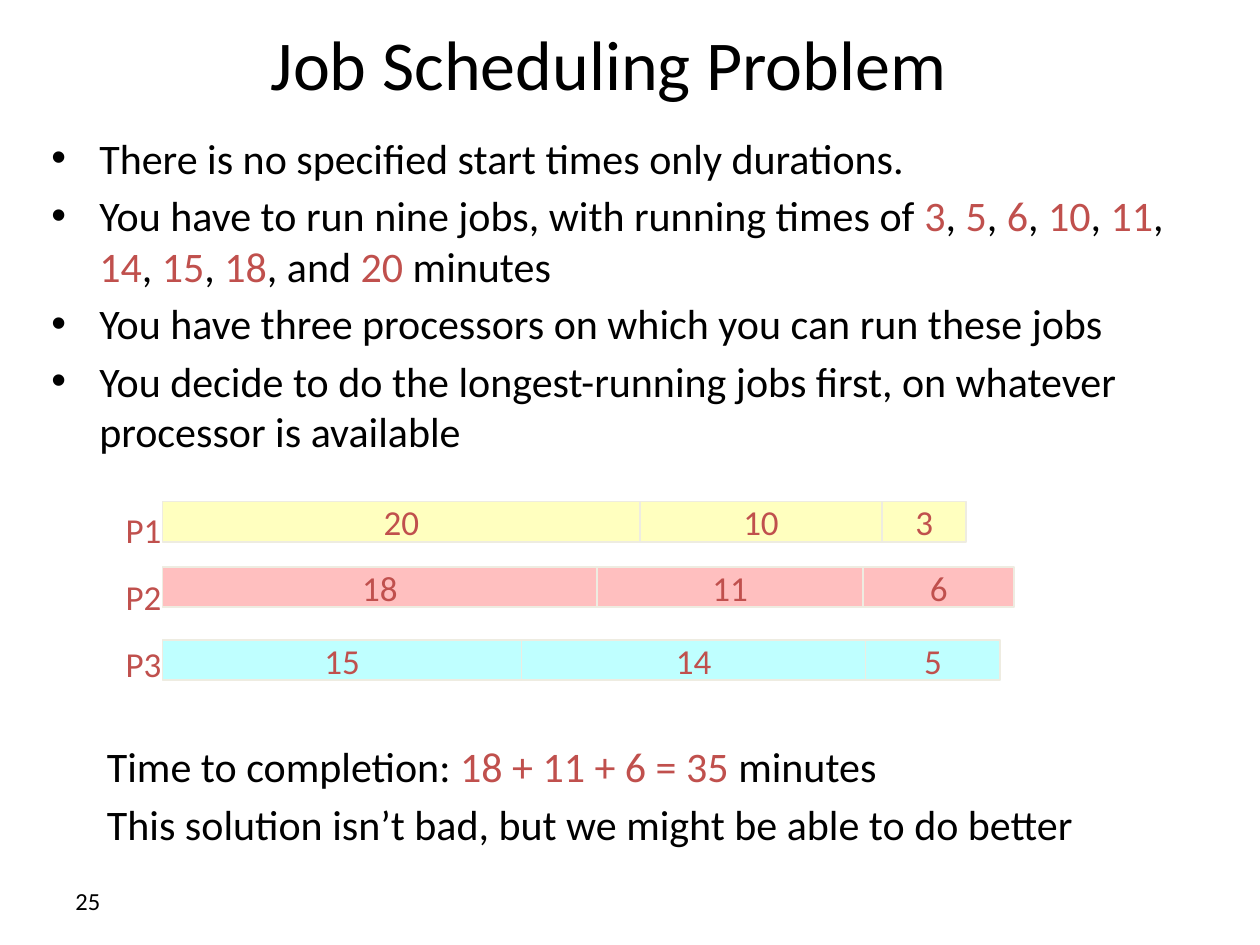
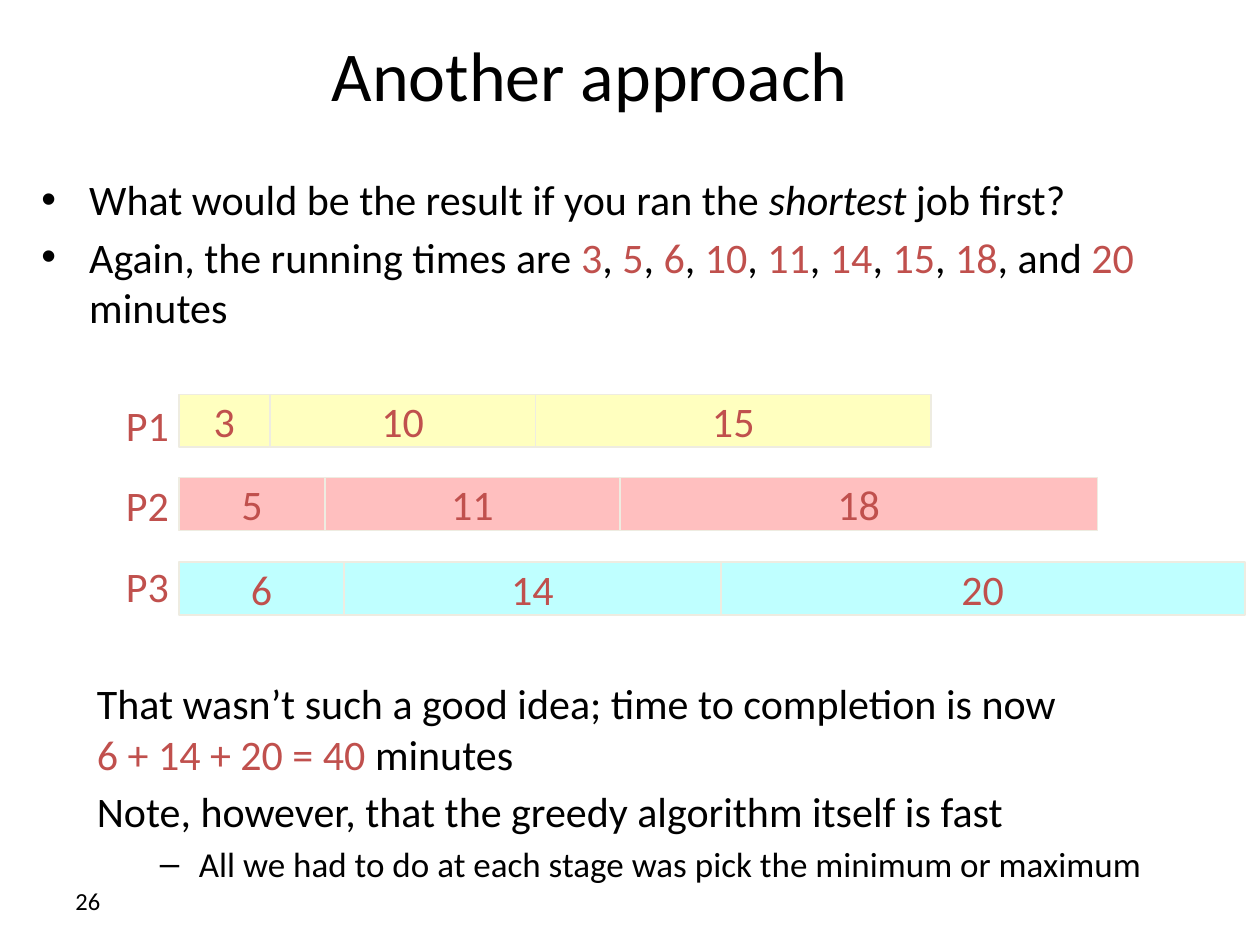
from dataclasses import dataclass

from lxml.etree import SubElement
from pptx import Presentation
from pptx.dml.color import RGBColor
from pptx.enum.shapes import MSO_SHAPE as Shape
from pptx.enum.text import MSO_ANCHOR as Anchor, PP_ALIGN as Align
from pptx.oxml.ns import qn
from pptx.util import Inches, Pt


@dataclass(frozen=True)
class Theme:
    font: str = "Calibri"
    ink: str = "000000"
    accent: str = "C0504D"
    bar_line: str = "EEECE1"
    bar_fills: tuple = ("FFFFBF", "FFBFBF", "BFFFFF")
    title_size: int = 40
    body_size: int = 24
    small_size: int = 20
    number_size: int = 14
    body_gap: float = 0.17   # paragraph gaps as shares of the type size
    label_gap: float = 0.48


def add_spans(para, text, *, size, font, color, accent):
    """Fill a paragraph; *stars* mark accent, _underscores_ mark italics."""
    for i, piece in enumerate(text.split("*")):
        for j, part in enumerate(piece.split("_")):
            for k, line in enumerate(part.split("\n")):
                if k:
                    para.add_line_break()
                if not line:
                    continue
                span = para.add_run()
                span.text = line
                span.font.name = font
                span.font.size = Pt(size)
                span.font.italic = bool(j % 2)
                span.font.color.rgb = RGBColor.from_string(accent if i % 2 else color)


def set_bullet(para, mark, left, hang):
    properties = para._p.get_or_add_pPr()
    properties.set("marL", str(Inches(left)))
    properties.set("indent", str(Inches(-hang)))
    SubElement(properties, qn("a:buFont")).set("typeface", "Arial")
    SubElement(properties, qn("a:buChar")).set("char", mark)


class SlideBuilder:
    def __init__(self, deck, theme):
        self.deck = deck
        self.theme = theme
        self.page = None

    def new_page(self):
        self.page = self.deck.slides.add_slide(self.deck.slide_layouts[6])

    def fill_frame(self, frame, lines, *, size, color=None, align=Align.LEFT,
                   anchor=Anchor.TOP, wrap=True, gap=0, spacing=None, bullet=None):
        """Put lines of marked-up text into a frame; "– " starts a sub-point."""
        theme = self.theme
        frame.word_wrap = wrap
        frame.vertical_anchor = anchor
        for index, line in enumerate(lines):
            para = frame.paragraphs[0] if index == 0 else frame.add_paragraph()
            is_sub = line.startswith("– ")
            line_size = theme.small_size if is_sub else size
            para.alignment = align
            para.space_before = Pt(gap * line_size)
            if spacing:
                para.line_spacing = spacing
            if is_sub:
                para.level = 1
                set_bullet(para, "–", 0.81, 0.31)
            elif bullet:
                set_bullet(para, bullet, 0.38, 0.38)
            add_spans(para, line.removeprefix("– "), size=line_size, font=theme.font,
                      color=color or theme.ink, accent=theme.accent)

    def text(self, lines, left, top, width, height, **style):
        box = self.page.shapes.add_textbox(
            Inches(left), Inches(top), Inches(width), Inches(height))
        self.fill_frame(box.text_frame, lines, **style)

    def title(self, text, left, top):
        self.text([text], left, top, 8.52, 0.83, size=self.theme.title_size,
                  align=Align.CENTER, anchor=Anchor.MIDDLE)

    def body(self, lines, left, top, width, height, bullet=None):
        self.text(lines, left, top, width, height, size=self.theme.body_size,
                  gap=self.theme.body_gap, bullet=bullet)

    def page_number(self, number):
        self.text([str(number)], 0.5, 6.95, 2.33, 0.4,
                  size=self.theme.number_size, anchor=Anchor.MIDDLE)

    def job_bar(self, minutes, left, top, width, height, fill, size):
        bar = self.page.shapes.add_shape(
            Shape.RECTANGLE, Inches(left), Inches(top), Inches(width), Inches(height))
        bar.shadow.inherit = False
        bar.fill.solid()
        bar.fill.fore_color.rgb = RGBColor.from_string(fill)
        bar.line.color.rgb = RGBColor.from_string(self.theme.bar_line)
        bar.line.width = Pt(1)
        self.fill_frame(bar.text_frame, [str(minutes)], size=size, color=self.theme.accent,
                        align=Align.CENTER, anchor=Anchor.MIDDLE, wrap=False)

    def schedule(self, rows, bar_height, size, label_box):
        """Draw one row of bars per processor; each row is (top, jobs, edges)."""
        for fill, (top, jobs, edges) in zip(self.theme.bar_fills, rows):
            for minutes, left, right in zip(jobs, edges, edges[1:]):
                self.job_bar(minutes, left, top, right - left, bar_height, fill, size)
        labels = [f"P{number}" for number in range(1, len(rows) + 1)]
        self.text(labels, *label_box, size=size, color=self.theme.accent,
                  align=Align.CENTER, gap=self.theme.label_gap, spacing=1.2)


# Running times shared by both slides
JOB_TIMES = (3, 5, 6, 10, 11, 14, 15, 18, 20)
TIMES_TEXT = ", ".join(f"*{time}*" for time in JOB_TIMES[:-1]) + f", and *{JOB_TIMES[-1]}*"


def longest_first(builder):
    builder.new_page()
    builder.page_number(25)
    builder.title("Job Scheduling Problem", 0.57, 0.08)
    builder.body([
        "There is no specified start times only durations.",
        f"You have to run nine jobs, with running times of {TIMES_TEXT} minutes",
        "You have three processors on which you can run these jobs",
        "You decide to do the longest-running jobs first, on whatever processor is available",
    ], 0.31, 1, 9.38, 2.5, bullet="•")
    builder.schedule([
        (3.98, (20, 10, 3), (1.29, 5.08, 7, 7.67)),
        (4.5, (18, 11, 6), (1.29, 4.74, 6.85, 8.05)),
        (5.08, (15, 14, 5), (1.29, 4.14, 6.87, 7.94)),
    ], 0.32, builder.theme.small_size, (0.84, 3.92, 0.6, 1.65))
    builder.body([
        "Time to completion: *18 + 11 + 6 = 35* minutes",
        "This solution isn’t bad, but we might be able to do better",
    ], 0.75, 5.83, 8.42, 1.17)


def shortest_first(builder):
    builder.new_page()
    builder.page_number(26)
    builder.title("Another approach", 0.42, 0.17)
    builder.body([
        "What would be the result if you ran the _shortest_ job first?",
        f"Again, the running times are {TIMES_TEXT} minutes",
    ], 0.23, 1.33, 9.38, 1.57, bullet="•")
    builder.body([
        "That wasn’t such a good idea; time to completion is now\n*6 + 14 + 20 = 40* minutes",
        "Note, however, that the greedy algorithm itself is fast",
        "– All we had to do at each stage was pick the minimum or maximum",
    ], 0.67, 5.33, 8.58, 2)
    builder.schedule([
        (3.13, (3, 10, 15), (1.42, 2.14, 4.25, 7.39)),
        (3.79, (5, 11, 18), (1.42, 2.58, 4.92, 8.71)),
        (4.46, (6, 14, 20), (1.42, 2.73, 5.72, 9.88)),
    ], 0.42, builder.theme.body_size, (0.84, 3.04, 0.66, 1.96))


def main():
    deck = Presentation()
    deck.slide_width, deck.slide_height = Inches(10), Inches(7.5)
    builder = SlideBuilder(deck, Theme())
    longest_first(builder)
    shortest_first(builder)
    deck.save("out.pptx")


if __name__ == "__main__":
    main()
